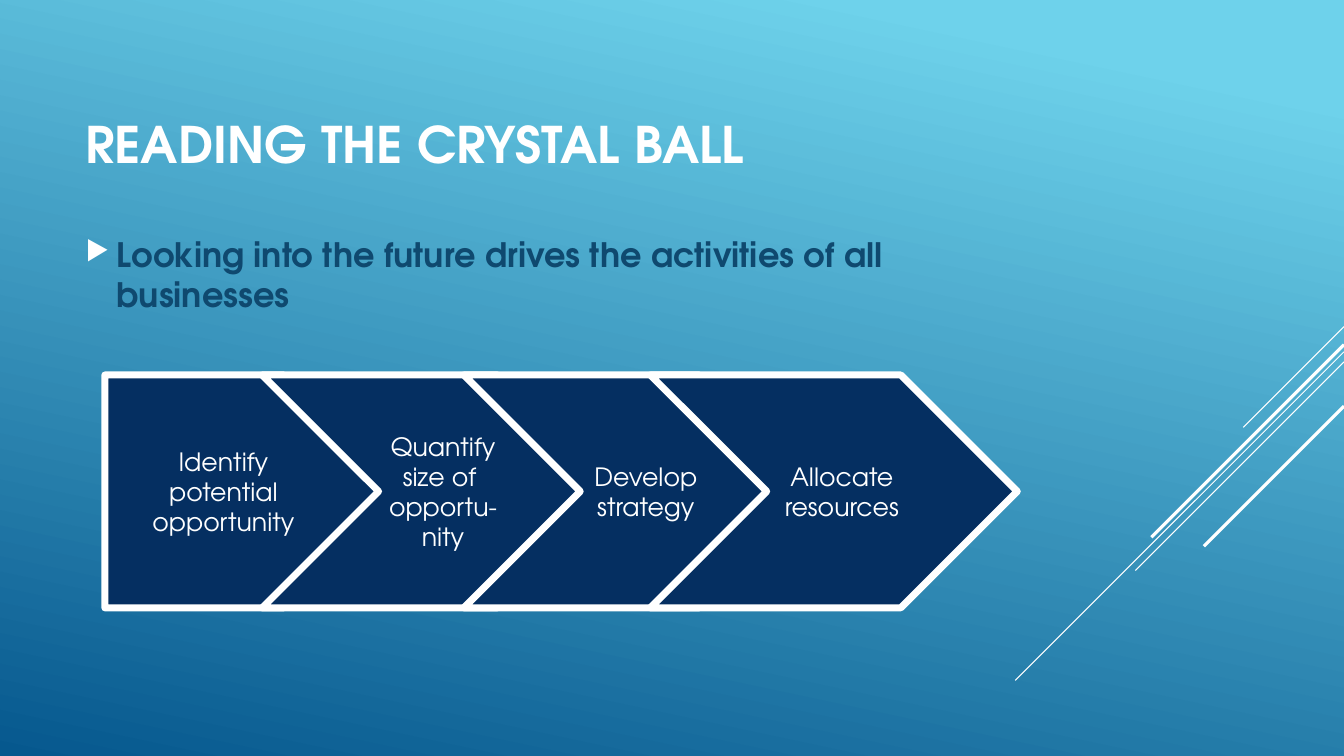
from lxml import etree
from pptx import Presentation
from pptx.dml.color import RGBColor
from pptx.enum import shapes, text
from pptx.oxml import ns
from pptx.util import Inches, Pt

FONT = "TeX Gyre Adventor"
COLORS = {"sky": "6ED2EB", "deep": "06588E", "white": "FFFFFF",
          "body": "0F496F", "navy": "052F61"}
SLIDE_WIDTH, SLIDE_HEIGHT = 13.33, 7.5

# y on the right edge, horizontal reach to the left, line width
RAYS = [(3.24, 1, 0.75), (3.49, 3.26, 0.75), (3.59, 2.07, 0.75),
        (3.42, 1.91, 2.25), (4.03, 1.39, 2.25)]

# offset from the process's left edge, width, left inset, label
STEPS = [(0, 2.93, 0.1, "Identify\npotential\nopportunity"),
         (1.56, 3.49, 0.1, "Quantify\nsize of \nopportu-nity"),
         (3.56, 3.49, 0.12, "Develop\nstrategy"),
         (5.41, 3.64, 0.16, "Allocate resources")]


def color(name):
    return RGBColor.from_string(COLORS[name])


def write(text_frame, content, size, color_name, bold=False, align=None):
    text_frame.word_wrap = True
    text_frame.text = content
    for paragraph in text_frame.paragraphs:
        paragraph.alignment = align
        for run in paragraph.runs:
            run.font.name = FONT
            run.font.size = Pt(size)
            run.font.bold = bold
            run.font.color.rgb = color(color_name)


def paint_background(slide):
    fill = slide.background.fill
    fill.gradient()
    fill.gradient_angle = 258
    for stop, name, position in zip(fill.gradient_stops, ("sky", "deep"), (0.1, 1)):
        stop.color.rgb = color(name)
        stop.position = position


def add_rays(slide, right):
    """Draw the 45-degree lines that run down and left from the right edge."""
    for top, reach, width in RAYS:
        ray = slide.shapes.add_connector(
            shapes.MSO_CONNECTOR.STRAIGHT, Inches(right), Inches(top),
            Inches(right - reach), Inches(top + reach))
        ray.line.color.rgb = color("white")
        ray.line.width = Pt(width)
        etree.SubElement(ray._element.spPr, ns.qn("a:effectLst"))


def add_title(slide, left, top, width, height):
    box = slide.shapes.add_textbox(*map(Inches, (left, top, width, height)))
    box.text_frame.vertical_anchor = text.MSO_ANCHOR.MIDDLE
    write(box.text_frame, "READING THE CRYSTAL BALL", 36, "white", bold=True)


def add_body(slide, left, top, width, height):
    box = slide.shapes.add_textbox(*map(Inches, (left, top, width, height)))
    write(box.text_frame,
          "Looking into the future drives the activities of all businesses",
          24, "body", bold=True)
    paragraph = box.text_frame.paragraphs[0]
    paragraph.space_after = Pt(6)
    properties = paragraph._p.get_or_add_pPr()
    properties.set("marL", str(Inches(0.31)))
    properties.set("indent", str(-Inches(0.31)))
    bullet_color = etree.SubElement(properties, ns.qn("a:buClr"))
    etree.SubElement(bullet_color, ns.qn("a:srgbClr"), val=COLORS["white"])
    etree.SubElement(properties, ns.qn("a:buSzPct"), val="80000")
    etree.SubElement(properties, ns.qn("a:buChar"), char="▶")


def add_process(slide, left, top, height):
    """Draw the overlapping arrow steps, the first with a flat back."""
    for index, (offset, width, inset, label) in enumerate(STEPS):
        kind = shapes.MSO_SHAPE.CHEVRON if index else shapes.MSO_SHAPE.PENTAGON
        step = slide.shapes.add_shape(
            kind, *map(Inches, (left + offset, top, width, height)))
        step.shadow.inherit = False
        step.fill.solid()
        step.fill.fore_color.rgb = color("navy")
        step.line.color.rgb = color("white")
        step.line.width = Pt(5)
        frame = step.text_frame
        frame.vertical_anchor = text.MSO_ANCHOR.MIDDLE
        frame.margin_left = Inches(inset)
        if index:
            frame.margin_right = 0
        write(frame, label, 18, "white", align=text.PP_ALIGN.CENTER)


def main():
    presentation = Presentation()
    presentation.slide_width = Inches(SLIDE_WIDTH)
    presentation.slide_height = Inches(SLIDE_HEIGHT)
    slide = presentation.slides.add_slide(presentation.slide_layouts[6])
    paint_background(slide)
    add_rays(slide, SLIDE_WIDTH)
    add_body(slide, 0.75, 2.27, 9.33, 3.95)
    add_title(slide, 0.75, 0.6, 9.33, 1.65)
    add_process(slide, 1.04, 3.72, 2.31)
    presentation.save("out.pptx")


if __name__ == "__main__":
    main()
